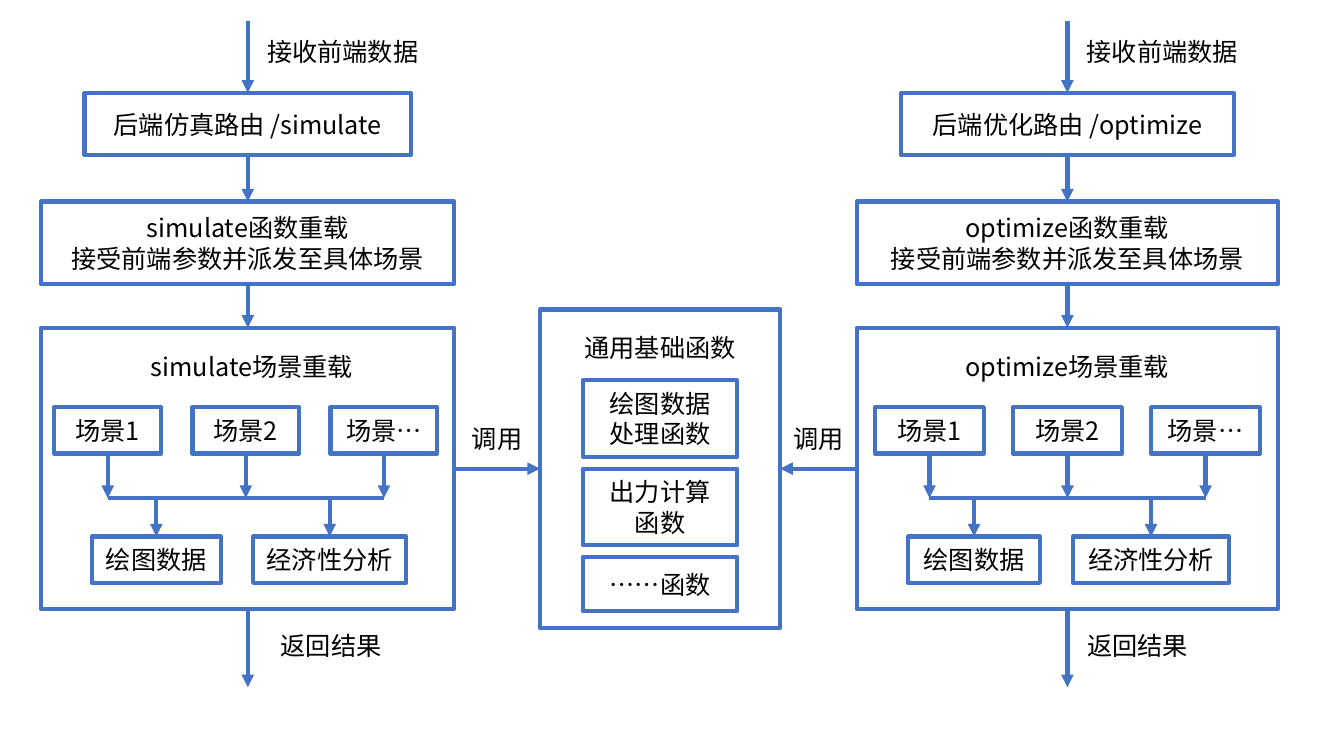
from dataclasses import dataclass

import lxml.etree
import pptx
import pptx.dml.color
import pptx.enum.shapes
import pptx.enum.text
import pptx.oxml
import pptx.oxml.ns
import pptx.util

Cm = pptx.util.Cm


@dataclass(frozen=True)
class Theme:
    """Colours, font and sizes used across the slide."""
    line: pptx.dml.color.RGBColor = pptx.dml.color.RGBColor(0x44, 0x72, 0xC4)
    ink: pptx.dml.color.RGBColor = pptx.dml.color.RGBColor(0, 0, 0)
    font: str = "Noto Sans CJK SC"
    size: pptx.util.Pt = pptx.util.Pt(18)
    leading: pptx.util.Pt = pptx.util.Pt(21.6)
    stroke: pptx.util.Pt = pptx.util.Pt(3)
    thin: pptx.util.Pt = pptx.util.Pt(2.25)


@dataclass(frozen=True)
class Box:
    """A rectangle in centimetres."""
    left: float
    top: float
    width: float
    height: float

    @property
    def middle(self):
        """Return the horizontal centre."""
        return self.left + self.width / 2

    @property
    def right(self):
        """Return the right edge."""
        return self.left + self.width

    @property
    def bottom(self):
        """Return the lower edge."""
        return self.top + self.height

    def lengths(self):
        """Return the four values as slide lengths."""
        return [Cm(value) for value in (self.left, self.top, self.width, self.height)]


THEME = Theme()


def centred(middle, top, width, height):
    """Return a box centred on a vertical axis."""
    return Box(middle - width / 2, top, width, height)


def write(shape, text):
    """Fill a shape with centred lines of text."""
    frame = shape.text_frame
    frame.word_wrap = True
    frame.vertical_anchor = pptx.enum.text.MSO_ANCHOR.MIDDLE
    frame.margin_left = frame.margin_right = frame.margin_top = frame.margin_bottom = 0
    frame.text = text
    for para in frame.paragraphs:
        para.alignment = pptx.enum.text.PP_ALIGN.CENTER
        para.font.name = THEME.font
        para.font.size = THEME.size
        para.font.color.rgb = THEME.ink
        east_asian = pptx.oxml.ns.qn("a:ea")
        latin = para.font._element.find(pptx.oxml.ns.qn("a:latin"))
        latin.addnext(latin.makeelement(east_asian, {"typeface": THEME.font}))
        if len(frame.paragraphs) > 1:
            para.line_spacing = THEME.leading


def add_label(page, box, text):
    """Place unframed text."""
    write(page.shapes.add_textbox(*box.lengths()), text)


def add_frame(page, box, text=""):
    """Place an outlined rectangle with optional text."""
    shape = page.shapes.add_shape(pptx.enum.shapes.MSO_SHAPE.RECTANGLE, *box.lengths())
    shape.shadow.inherit = False
    shape.fill.background()
    shape.line.color.rgb = THEME.line
    shape.line.width = THEME.stroke
    if text:
        write(shape, text)


def add_line(page, start, end, arrow=True):
    """Draw a thick arrow or a thin plain line between two points."""
    points = [Cm(value) for value in (*start, *end)]
    line = page.shapes.add_connector(pptx.enum.shapes.MSO_CONNECTOR.STRAIGHT, *points)
    line.line.color.rgb = THEME.line
    line.line.width = THEME.stroke if arrow else THEME.thin
    if arrow:
        outline = line.line._get_or_add_ln()
        lxml.etree.SubElement(outline, pptx.oxml.ns.qn("a:tailEnd"), type="triangle")
    lxml.etree.SubElement(line._element.spPr, pptx.oxml.ns.qn("a:effectLst"))


def add_scenes(page, box, name, inset):
    """Build the scene panel: scenarios joined by a bus that feeds the outputs."""
    scale = box.width / 10.41
    bus = box.top + 4.29
    add_frame(page, box)
    add_label(page, centred(box.left + 5.31, box.top + 0.35, 5.85, 1.27), f"{name}场景重载")
    scenarios = [
        Box(box.left + inset + 3.48 * index, box.top + 2, 2.69 * scale, 1.17)
        for index in range(3)
    ]
    for scenario, mark in zip(scenarios, ("1", "2", "…")):
        add_frame(page, scenario, f"场景{mark}")
        add_line(page, (scenario.middle, scenario.bottom), (scenario.middle, bus))
    add_line(page, (scenarios[0].middle, bus), (scenarios[-1].middle, bus), arrow=False)
    for text, offset, width in (("绘图数据", 2.9, 3.25), ("经济性分析", 7.27, 3.86)):
        output = centred(box.left + offset * scale, box.top + 5.26, width * scale, 1.17)
        add_frame(page, output, text)
        add_line(page, (output.middle, bus), (output.middle, output.top))


def add_route(page, box, name, title, inset, result_shift):
    """Build one back-end route from incoming data to returned result."""
    axis = box.middle
    route = centred(axis, box.top + 1.81, box.width * 0.79, 1.57)
    overload = Box(box.left, box.top + 4.55, box.width, 2.08)
    scenes = Box(box.left, box.top + 7.73, box.width, 7.09)
    add_frame(page, route, f"后端{title}路由 /{name}")
    add_frame(page, overload, f"{name}函数重载\n接受前端参数并派发至具体场景")
    add_scenes(page, scenes, name, inset)
    starts = (box.top, route.bottom, overload.bottom, scenes.bottom)
    ends = (route.top, overload.top, scenes.top, box.bottom)
    for start, end in zip(starts, ends):
        add_line(page, (axis, start), (axis, end))
    add_label(page, centred(axis + 2.39, box.top + 0.12, 4.85, 1.27), "接收前端数据")
    add_label(page, centred(axis + result_shift, box.top + 15.09, 4.85, 1.27), "返回结果")


def add_common(page, box):
    """Build the panel of shared base functions."""
    add_frame(page, box)
    add_label(page, centred(box.middle, box.top + 0.33, 4.85, 1.27), "通用基础函数")
    top = box.top + 1.78
    for text, height in (("绘图数据\n处理函数", 1.93), ("出力计算\n函数", 1.93), ("……函数", 1.35)):
        add_frame(page, centred(box.middle, top, 3.89, height), text)
        top += height + 0.3


def add_call(page, start, end, height):
    """Draw a labelled call arrow between two panel edges."""
    add_line(page, (start, height), (end, height))
    add_label(page, centred((start + end) / 2, height - 1.39, 1.96, 1.27), "调用")


def build():
    """Assemble and save the slide."""
    deck = pptx.Presentation()
    deck.slide_width, deck.slide_height = Cm(33.87), Cm(19.05)
    page = deck.slides.add_slide(deck.slide_layouts[6])
    simulate = Box(1.04, 0.53, 10.41, 16.79)
    optimize = Box(21.59, 0.53, 10.62, 16.79)
    common = Box(13.61, 7.8, 6.05, 8.03)
    add_route(page, simulate, "simulate", "仿真", inset=0.33, result_shift=2.1)
    add_route(page, optimize, "optimize", "优化", inset=0.46, result_shift=1.77)
    add_common(page, common)
    add_call(page, simulate.right, common.left, 11.81)
    add_call(page, optimize.left, common.right, 11.81)
    deck.save("out.pptx")


build()
